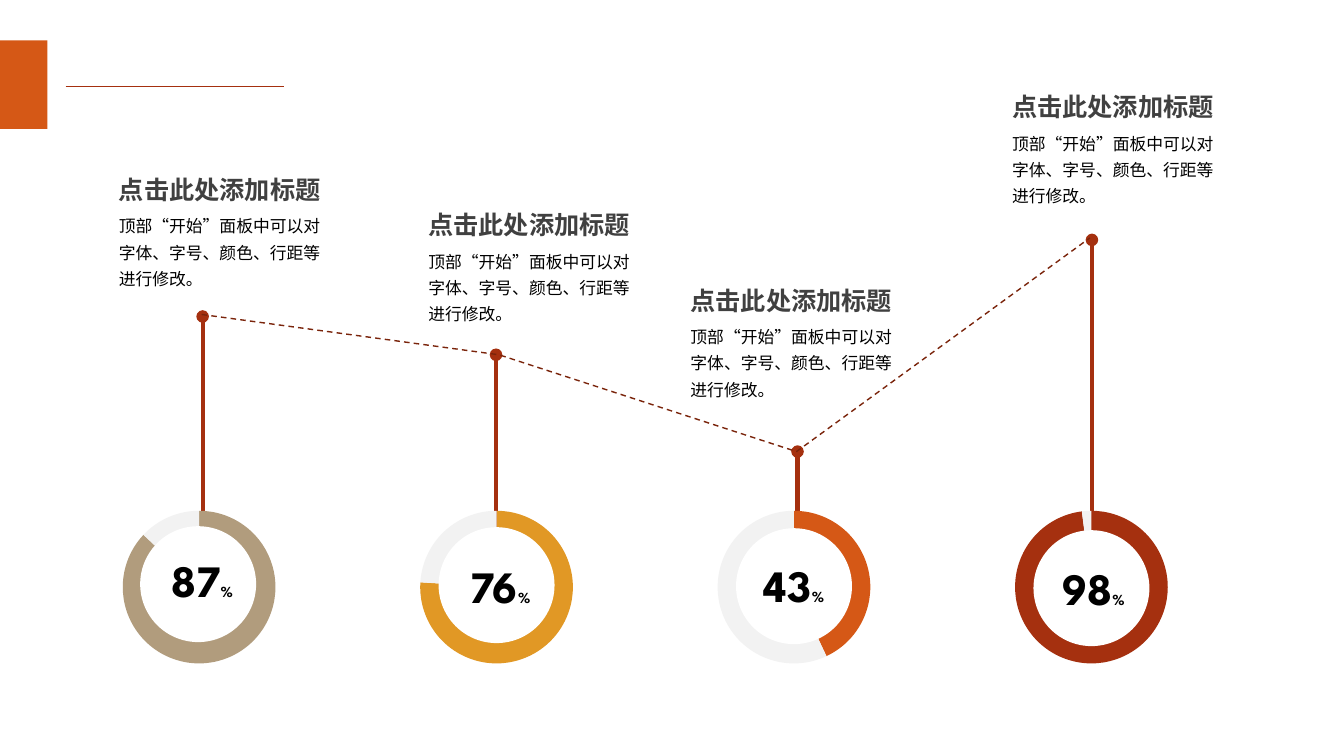
"""Build a slide of four percentage rings joined by stems and a dashed trend line."""
from lxml import etree
from pptx import Presentation
from pptx import util as u
from pptx.chart.data import CategoryChartData
from pptx.dml.color import RGBColor
from pptx.enum import chart as charts, dml, shapes, text
from pptx.oxml import ns

COLORS = {"rust": "A5300F", "orange": "D55816", "gold": "E19825", "sand": "B19C7D",
          "dark": "7A240B", "rest": "F2F2F2", "white": "FFFFFF", "black": "000000", "gray": "404040"}
LATIN, CHINESE = "League Spartan", "Noto Sans CJK SC"
TITLE = "点击此处添加标题"
BODY = "顶部“开始”面板中可以对字体、字号、颜色、行距等进行修改。"
ITEMS = [
    {"value": 87, "color": "sand", "stem": (2.01, 3.14), "joint": (2, 3.12),
     "heading": (1.08, 1.68), "hole": (0.31, 0.3), "number": (0.46, 0.51)},
    {"value": 76, "color": "gold", "stem": (4.92, 3.52), "joint": (4.95, 3.52),
     "heading": (4.15, 2.03), "hole": (0.32, 0.31), "number": (0.47, 0.57)},
    {"value": 43, "color": "orange", "stem": (7.91, 4.48), "joint": (7.9, 4.48),
     "heading": (6.75, 2.78), "hole": (0.32, 0.32), "number": (0.43, 0.56)},
    {"value": 98, "color": "rust", "stem": (10.83, 2.38), "joint": (10.81, 2.36),
     "heading": (9.94, 0.86), "hole": (0.32, 0.34), "number": (0.45, 0.59)},
]
RING_LEFT, RING_TOP, RING_STEP = 1.08, 4.92, 2.95
RING_SIZE, HOLE_SIZE, NUMBER_SIZE = (1.79, 1.81), (1.15, 1.15), (0.93, 0.64)
STEM_BOTTOM, BODY_DROP = 5.43, 0.355
TITLE_SIZE, BODY_SIZE = (2.22, 0.4), (2.23, 0.89)


def inches(*lengths):
    return [u.Inches(length) for length in lengths]


def color(name):
    return RGBColor.from_string(COLORS[name])


def paint(fill, name):
    fill.solid()
    fill.fore_color.rgb = color(name)


def add_line(slide, start, end, width, head=None):
    line = slide.shapes.add_connector(shapes.MSO_CONNECTOR.STRAIGHT, *inches(*start, *end))
    line.line.width = u.Pt(width)
    line.line.color.rgb = color("rust")
    if head:
        etree.SubElement(line.line._get_or_add_ln(), ns.qn("a:headEnd"), type=head)
    etree.SubElement(line._element.spPr, ns.qn("a:effectLst"))


def add_solid(slide, kind, box, name):
    shape = slide.shapes.add_shape(kind, *inches(*box))
    shape.shadow.inherit = False
    paint(shape.fill, name)
    shape.line.fill.background()


def add_text(slide, box, runs, font, name, wrap=True, **layout):
    frame = slide.shapes.add_textbox(*inches(*box)).text_frame
    frame.word_wrap = wrap
    frame.auto_size = text.MSO_AUTO_SIZE.SHAPE_TO_FIT_TEXT
    paragraph = frame.paragraphs[0]
    for key, value in layout.items():
        setattr(paragraph, key, value)
    for words, size, bold in runs:
        run = paragraph.add_run()
        run.text = words
        for key, value in {"size": u.Pt(size), "bold": bold, "name": font}.items():
            setattr(run.font, key, value)
        run.font.color.rgb = color(name)
        etree.SubElement(run._r.get_or_add_rPr(), ns.qn("a:ea"), typeface=font)


def add_ring(slide, index, item):
    left = RING_LEFT + index * RING_STEP
    data = CategoryChartData()
    data.categories = ["1", "2"]
    data.add_series("Series 1", (item["value"], 100 - item["value"]))
    chart = slide.shapes.add_chart(charts.XL_CHART_TYPE.DOUGHNUT,
                                   *inches(left, RING_TOP, *RING_SIZE), data).chart
    chart.has_legend = chart.has_title = False
    chart.font.size, chart.font.name = u.Pt(10), LATIN
    chart.font.color.rgb = color("black")
    plot = chart.plots[0]
    plot.vary_by_categories = True
    plot._element.find(ns.qn("c:holeSize")).set("val", "75")
    for number, name in enumerate((item["color"], "rest")):
        style = plot.series[0].points[number].format
        paint(style.fill, name)
        style.line.fill.background()
    hole, label = [(left + x, RING_TOP + y) for x, y in (item["hole"], item["number"])]
    add_solid(slide, shapes.MSO_SHAPE.OVAL, (*hole, *HOLE_SIZE), "white")
    add_text(slide, (*label, *NUMBER_SIZE), [(str(item["value"]), 32, True), ("%", 11, True)],
             LATIN, "black", alignment=text.PP_ALIGN.CENTER)


def add_trend(slide):
    first, *others = [inches(*item["joint"]) for item in ITEMS]
    builder = slide.shapes.build_freeform(*first)
    builder.add_line_segments(others, close=False)
    trend = builder.convert_to_shape()
    trend.shadow.inherit = False
    trend.fill.background()
    trend.line.color.rgb = color("dark")
    trend.line.width = u.Pt(1)
    trend.line.dash_style = dml.MSO_LINE.DASH


def main():
    presentation = Presentation()
    presentation.slide_width, presentation.slide_height = inches(13.33, 7.5)
    slide = presentation.slides.add_slide(presentation.slide_layouts[6])
    add_line(slide, (0.65, 0.86), (2.82, 0.86), 0.5)
    add_solid(slide, shapes.MSO_SHAPE.RECTANGLE, (0, 0.4, 0.47, 0.88), "orange")
    for item in ITEMS:
        add_line(slide, item["stem"], (item["stem"][0], STEM_BOTTOM), 3, "oval")
    for index, item in enumerate(ITEMS):
        add_ring(slide, index, item)
    add_trend(slide)
    for item in ITEMS:
        left, top = item["heading"]
        add_text(slide, (left, top + BODY_DROP, *BODY_SIZE), [(BODY, 12, False)],
                 CHINESE, "black", line_spacing=1.3)
        add_text(slide, (left, top, *TITLE_SIZE), [(TITLE, 18, True)], CHINESE, "gray", wrap=False)
    presentation.save("out.pptx")


if __name__ == "__main__":
    main()
